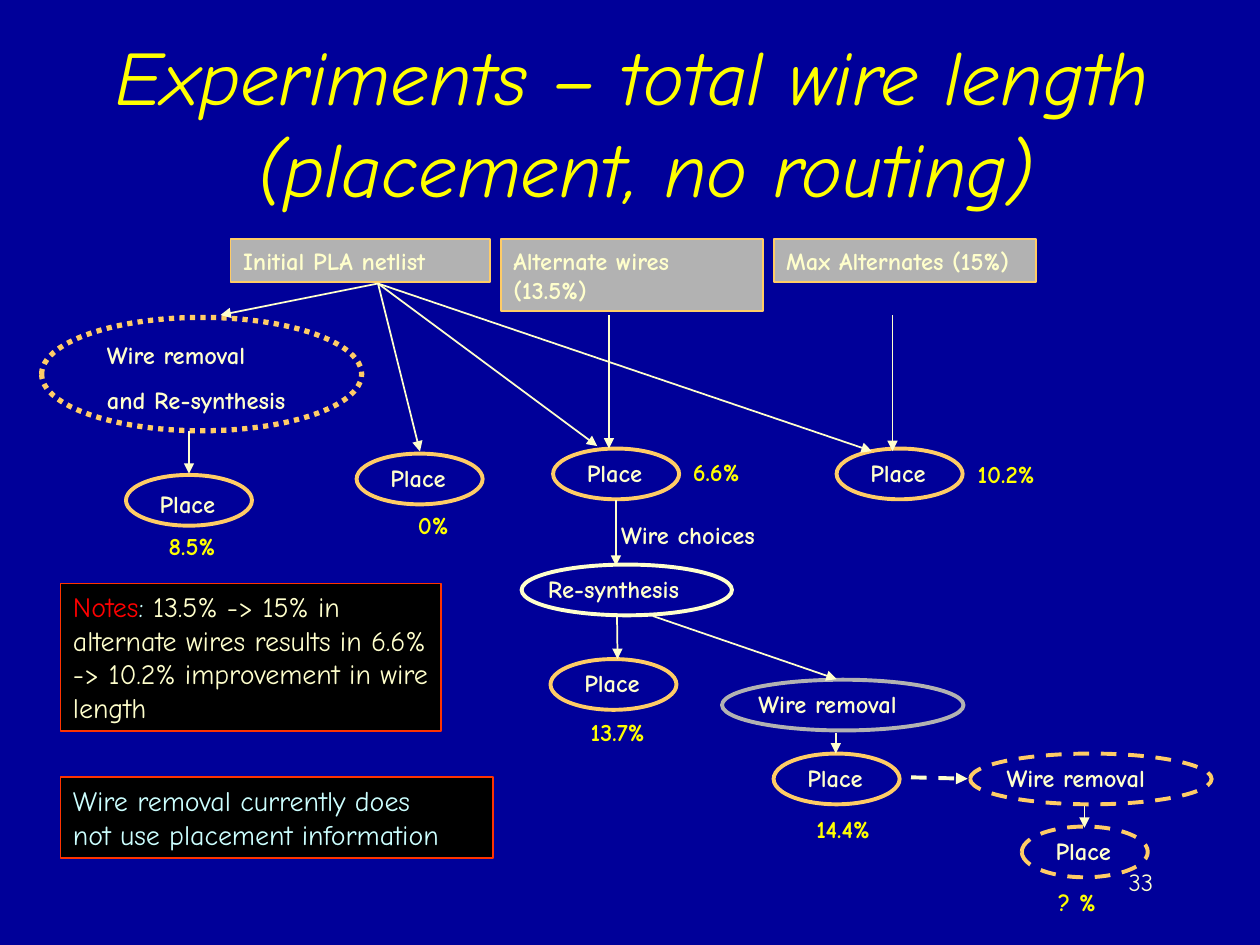
from lxml import etree
from pptx import Presentation
from pptx.dml.color import RGBColor
from pptx.enum import dml, shapes, text
from pptx.oxml import ns
from pptx.util import Pt

NAVY = RGBColor(0x00, 0x00, 0x99)
YELLOW = RGBColor(0xFF, 0xFF, 0x00)
CREAM = RGBColor(0xFF, 0xFF, 0xCC)
AMBER = RGBColor(0xFF, 0xCC, 0x66)
GREY = RGBColor(0xB2, 0xB2, 0xB2)
BLACK = RGBColor(0x00, 0x00, 0x00)
ORANGE = RGBColor(0xFF, 0x33, 0x00)
RED = RGBColor(0xFF, 0x00, 0x00)
ICE = RGBColor(0xCC, 0xFF, 0xFF)
FONT = "Comic Neue"
DASH = dml.MSO_LINE.DASH
DOT = dml.MSO_LINE.ROUND_DOT  # saved as sysDot
RECT = shapes.MSO_SHAPE.RECTANGLE
OVAL = shapes.MSO_SHAPE.OVAL
LEFT, RIGHT = text.PP_ALIGN.LEFT, text.PP_ALIGN.RIGHT

PLACE_SIZE = (72, 29)
REMOVAL_SIZE = (138, 29)

# Left, top, dash, result, and the result's offset and width
PLACES = [
    (72, 271.4, None, "8.5%", (17.3, 28.8, 41)),
    (203.8, 259.2, None, "0%", (28, 28.8, 31.7)),
    (316.1, 256.3, None, "6.6%", (72.7, 1.5, 41)),
    (478.1, 256.3, None, "10.2%", (73.4, 2.2, 46.8)),
    (314.6, 376.6, None, "13.7%", (15.9, 29.5, 45.4)),
    (442.1, 430.6, None, "14.4%", (17.3, 30.9, 45.4)),
    (583.9, 472.3, DASH, "? %", (13.7, 31, 36)),
]
SOURCES = [
    ("Initial PLA netlist", (131.8, 136.8, 148.3, 24.5)),
    ("Alternate wires (13.5%)", (286.3, 136.8, 149.8, 41)),
    ("Max Alternates (15%)", (442.1, 136.8, 149.8, 24.5)),
]
NETLIST_EXIT = (216, 162)
ARROWS = [
    (NETLIST_EXIT, (126, 180)),
    (NETLIST_EXIT, (240, 258)),
    (NETLIST_EXIT, (341.3, 254.9)),
    (NETLIST_EXIT, (498.2, 257.8)),
    ((348, 180), (348, 256.3)),
    ((510, 180), (510, 257.8)),
    ((108, 246.2), (108, 270.7)),
    ((352, 285.8), (352, 323.3)),
    ((352.6, 352), (352.9, 376.6)),
    ((373, 352), (478.1, 388.1)),
    ((477.6, 419), (477.6, 430.6)),
    ((619.7, 460.8), (619.7, 473)),
]


def write(tf, lines, color, size=14, bold=False, before=0, align=LEFT, wrap=True):
    tf.word_wrap = wrap
    tf.auto_size = text.MSO_AUTO_SIZE.NONE
    tf.vertical_anchor = text.MSO_ANCHOR.TOP
    for i, line in enumerate(lines):
        p = tf.add_paragraph() if i else tf.paragraphs[0]
        p.text = line
        p.alignment = align
        p.space_before = Pt(before)
        p.font.name, p.font.size, p.font.bold = FONT, Pt(size), bold
        p.font.color.rgb = color


def add_shape(slide, kind, box, line, width, fill=None, dash=None):
    sp = slide.shapes.add_shape(kind, *map(Pt, box))
    sp.shadow.inherit = False
    if fill is None:
        sp.fill.background()
    else:
        sp.fill.solid()
        sp.fill.fore_color.rgb = fill
    sp.line.color.rgb, sp.line.width = line, Pt(width)
    if dash is not None:
        sp.line.dash_style = dash
    return sp


def add_label(slide, box, lines, color=CREAM, **style):
    tb = slide.shapes.add_textbox(*map(Pt, box))
    write(tb.text_frame, lines, color, **style)


def add_node(slide, box, lines, label, line=AMBER, width=2.25, dash=None):
    """Ellipse with its caption; label is the caption's offset and size."""
    add_shape(slide, OVAL, box, line, width, dash=dash)
    dx, dy, w, h = label
    add_label(slide, (box[0] + dx, box[1] + dy, w, h), lines, bold=True, before=8.8)


def add_place(slide, x, y, dash, result, offset):
    drop = 4.3 if result == "8.5%" else 1.7
    add_node(slide, (x, y, *PLACE_SIZE), ["Place"], (12.2, drop, 66, 24.5), dash=dash)
    dx, dy, w = offset
    add_label(slide, (x + dx, y + dy, w, 24.5), [result], YELLOW, bold=True, wrap=False)


def add_arrow(slide, start, end, width=1, dash=None):
    cx = slide.shapes.add_connector(
        shapes.MSO_CONNECTOR.STRAIGHT, *map(Pt, (*start, *end)))
    cx.line.color.rgb, cx.line.width = CREAM, Pt(width)
    if dash is not None:
        cx.line.dash_style = dash
    etree.SubElement(cx.line._get_or_add_ln(), ns.qn("a:tailEnd"), type="triangle")
    etree.SubElement(cx._element.spPr, ns.qn("a:effectLst"))


def add_title(slide, box):
    title = slide.shapes.title
    title.left, title.top, title.width, title.height = map(Pt, box)
    tf = title.text_frame
    write(tf, ["Experiments – total wire length \v(placement, no routing)"],
          YELLOW, size=44, align=text.PP_ALIGN.CENTER)
    tf.vertical_anchor = text.MSO_ANCHOR.MIDDLE
    tf.paragraphs[0].font.italic = True


def add_flow(slide):
    for caption, box in SOURCES:
        sp = add_shape(slide, RECT, box, AMBER, 1, fill=GREY)
        write(sp.text_frame, [caption], CREAM, bold=True, before=8.8)

    add_node(slide, (23.8, 181.4, 182.9, 64.8), ["Wire removal", "and Re-synthesis"],
             (30.2, 9.4, 138, 49.7), width=3, dash=DOT)
    add_node(slide, (298.1, 322.6, 120.2, 29), ["Re-synthesis"],
             (7.9, 1.7, 138, 24.5), line=CREAM)
    for x, y, line, dash in [(412.6, 388.4, GREY, None), (554.4, 430.6, AMBER, DASH)]:
        add_node(slide, (x, y, *REMOVAL_SIZE), ["Wire removal"],
                 (13.7, 1.7, 138, 24.5), line=line, dash=dash)
    for place in PLACES:
        add_place(slide, *place)

    add_label(slide, (347.8, 293.8, 110.9, 24.5), ["Wire choices"], bold=True)
    for start, end in ARROWS:
        add_arrow(slide, start, end)
    add_arrow(slide, (520.6, 444.2), (553, 445), width=2.25, dash=DASH)


def add_notes_boxes(slide, left):
    sp = add_shape(slide, RECT, (left, 333.4, 217.4, 84.2), ORANGE, 1, fill=BLACK)
    tf = sp.text_frame
    write(tf, [""], CREAM, size=16)
    for words, color in [
        ("Notes", RED),
        (": ", ICE),
        ("13.5% -> 15% in alternate wires results in 6.6% -> 10.2% "
         "improvement in wire length", CREAM),
    ]:
        r = tf.paragraphs[0].add_run()
        r.text = words
        r.font.color.rgb = color

    sp = add_shape(slide, RECT, (left, 444.2, 247, 46.1), ORANGE, 1, fill=BLACK)
    write(sp.text_frame,
          ["Wire removal currently does", "not use placement information"], ICE, size=16)


def main():
    prs = Presentation()
    prs.slide_width, prs.slide_height = Pt(720), Pt(540)
    slide = prs.slides.add_slide(prs.slide_layouts[5])
    slide.background.fill.solid()
    slide.background.fill.fore_color.rgb = NAVY
    add_title(slide, (18, 24, 702, 90))
    add_flow(slide)
    add_notes_boxes(slide, 34.6)
    add_label(slide, (516.2, 491.8, 150, 36), ["33"], align=RIGHT)
    prs.save("out.pptx")


if __name__ == "__main__":
    main()
